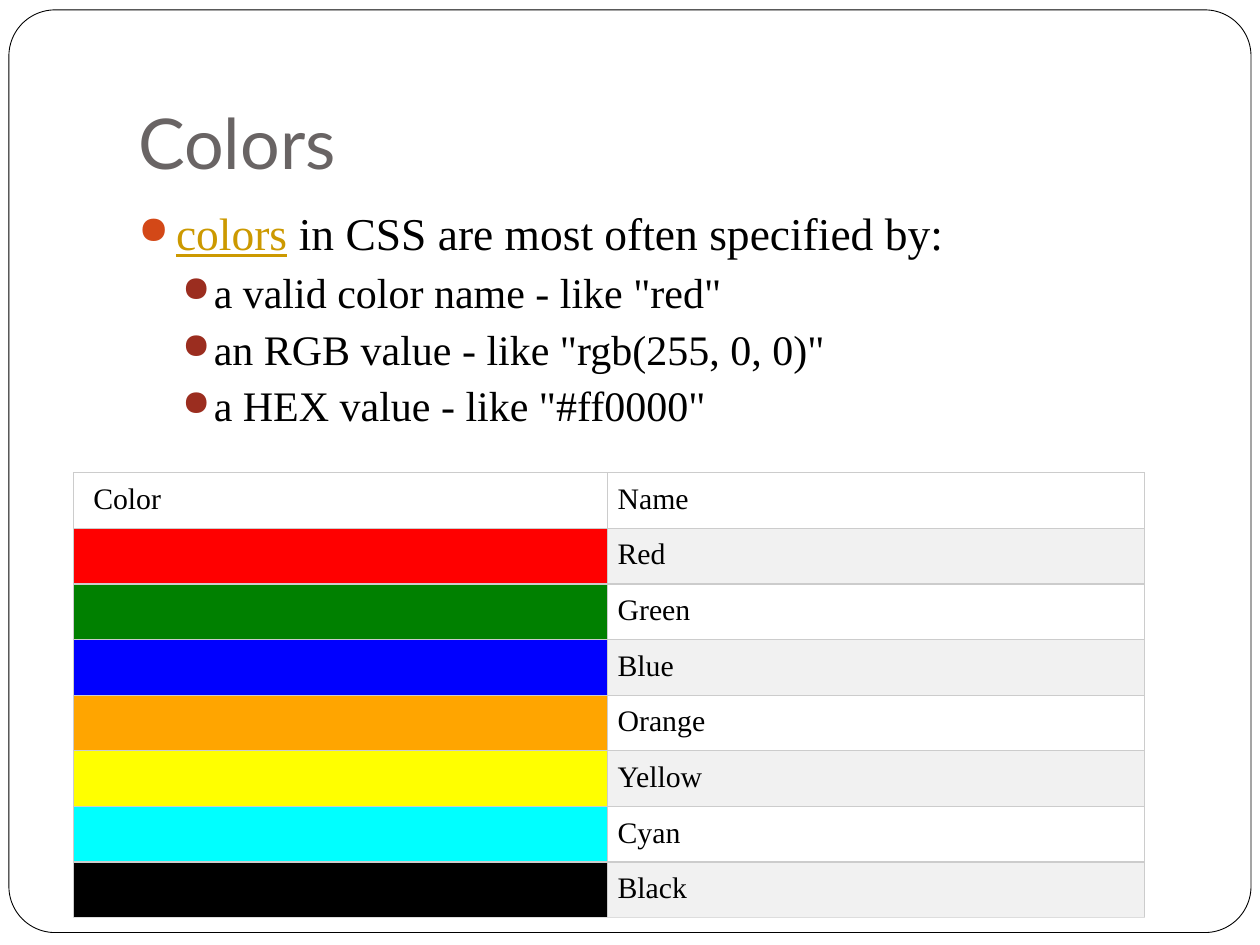
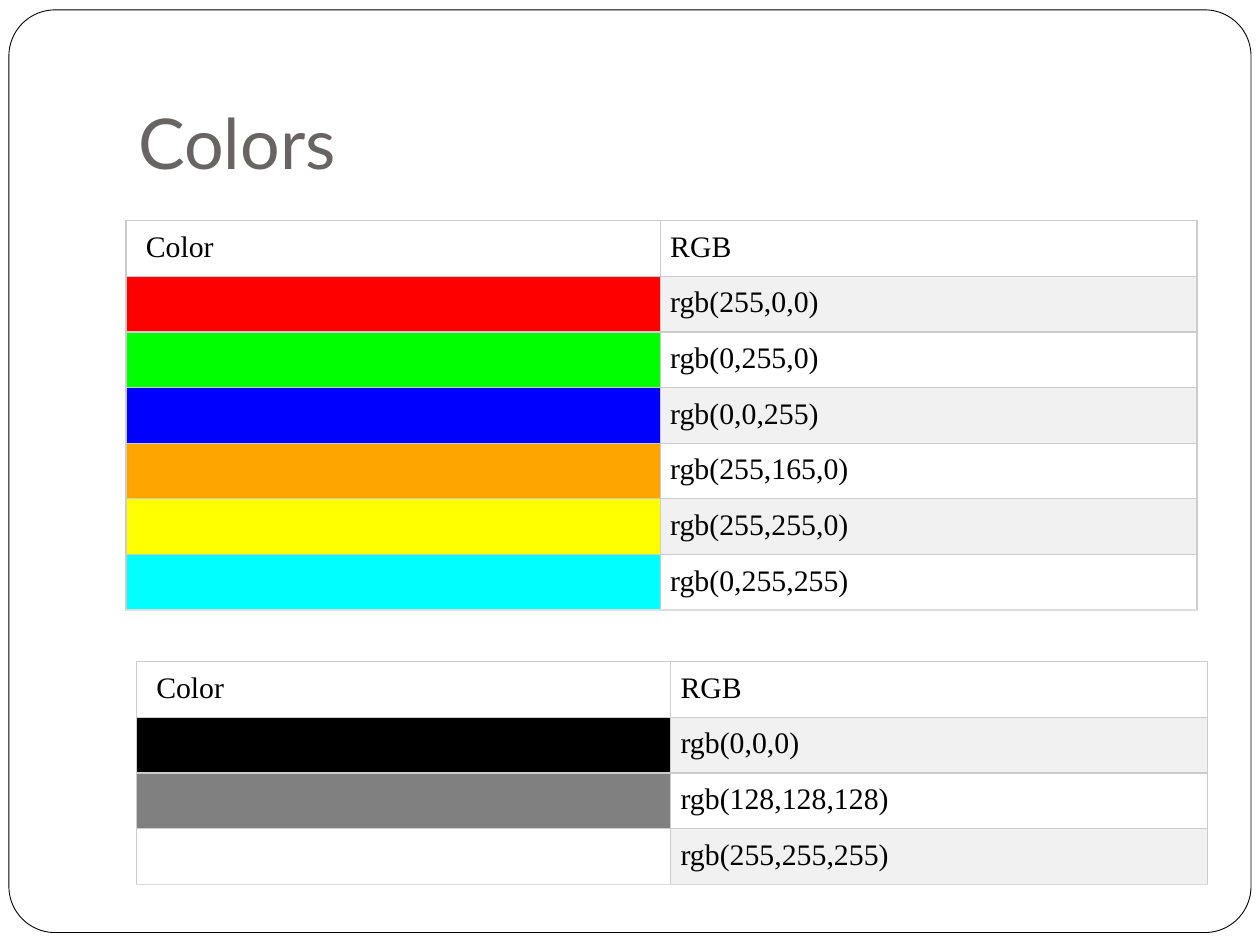
import pptx
import pptx.util
import pptx.dml.color
import pptx.enum.shapes
import pptx.enum.text
import pptx.oxml
import pptx.oxml.ns
import lxml.etree

Cm = pptx.util.Cm
Pt = pptx.util.Pt

COLORS = {
    "white": "FFFFFF", "black": "000000", "title": "696464", "link": "CC9900",
    "bullet": "D34817", "sub_bullet": "9B2D1F",
    "grid": "CCCCCC", "grid_end": "DDDDDD", "band": "F1F1F1",
    "red": "FF0000", "green": "008000", "lime": "00FF00", "blue": "0000FF",
    "orange": "FFA500", "yellow": "FFFF00", "cyan": "00FFFF", "gray": "808080",
}
TITLE_FONT = "Lato"
BODY_FONT = "Times New Roman"

FRAME_BOX = (0.18, 0.2, 25.04, 18.6)
TITLE_BOX = (2.54, 0.76, 21.59, 3.18)
BODY_BOX = (2.54, 4.01, 21.59, 12.7)
TABLE_WIDTH = 21.59
SWATCH_WIDTH = 10.77

SUB_BULLETS = [
    'a valid color name - like "red"',
    'an RGB value - like "rgb(255, 0, 0)"',
    'a HEX value - like "#ff0000"',
]
NAMED_COLORS = [
    ("red", "Red"), ("green", "Green"), ("blue", "Blue"), ("orange", "Orange"),
    ("yellow", "Yellow"), ("cyan", "Cyan"), ("black", "Black"),
]
RGB_COLORS = ["red", "lime", "blue", "orange", "yellow", "cyan"]
RGB_GRAYS = ["black", "gray", "white"]


def rgb(name):
    return pptx.dml.color.RGBColor.from_string(COLORS[name])


def rgb_row(name):
    return name, "rgb({},{},{})".format(*rgb(name))


def set_font(font, name, size, color):
    font.name = name
    font.size = Pt(size)
    font.color.rgb = rgb(color)


def add_child(parent, tag, **attrs):
    child = lxml.etree.SubElement(parent, pptx.oxml.ns.qn(tag))
    for key, value in attrs.items():
        child.set(key, str(value))
    return child


def add_frame(s, box):
    kind = pptx.enum.shapes.MSO_SHAPE.ROUNDED_RECTANGLE
    sp = s.shapes.add_shape(kind, *map(Cm, box))
    sp.adjustments[0] = 0.05
    sp.shadow.inherit = False
    sp.fill.solid()
    sp.fill.fore_color.rgb = rgb("white")
    sp.line.color.rgb = rgb("black")
    sp.line.width = Pt(0.5)


def add_text_frame(s, box):
    tf = s.shapes.add_textbox(*map(Cm, box)).text_frame
    tf.word_wrap = True
    return tf


def add_title(s, box, text):
    tf = add_text_frame(s, box)
    tf.vertical_anchor = pptx.enum.text.MSO_ANCHOR.BOTTOM
    tf.margin_bottom = Cm(0.25)
    p = tf.paragraphs[0]
    p.text = text
    set_font(p.font, TITLE_FONT, 40, "title")


def format_bullet(p, level, indent, hanging, space, size, color):
    p.level = level
    pPr = p._p.get_or_add_pPr()
    pPr.set("marL", str(Cm(indent)))
    pPr.set("indent", str(-Cm(hanging)))
    add_child(add_child(pPr, "a:buClr"), "a:srgbClr", val=COLORS[color])
    add_child(pPr, "a:buSzPct", val=85000)
    add_child(pPr, "a:buChar", char="●")
    p.space_before = Pt(space)
    set_font(p.font, BODY_FONT, size, "black")


def add_body(s, box):
    tf = add_text_frame(s, box)
    p = tf.paragraphs[0]
    format_bullet(p, 0, 0.76, 0.76, 5.8, 26, "bullet")
    r = p.add_run()
    r.text = "colors"
    r.font.underline = True
    r.font.color.rgb = rgb("link")
    p.add_run().text = " in CSS are most often specified by:"
    for text in SUB_BULLETS:
        p = tf.add_paragraph()
        p.text = text
        format_bullet(p, 1, 1.52, 0.64, 3.7, 24, "sub_bullet")


def format_cell(cell, fill, bottom):
    tcPr = cell._tc.get_or_add_tcPr()
    edges = {"a:lnL": "grid", "a:lnR": "grid", "a:lnT": "grid", "a:lnB": bottom}
    for tag, color in edges.items():
        ln = add_child(tcPr, tag, w=Pt(0.75))
        add_child(add_child(ln, "a:solidFill"), "a:srgbClr", val=COLORS[color])
    cell.fill.solid()
    cell.fill.fore_color.rgb = rgb(fill)


def write_cell(cell, text, left=0.2):
    cell.margin_left = Cm(left)
    cell.margin_right = cell.margin_top = cell.margin_bottom = Cm(0.2)
    p = cell.text_frame.paragraphs[0]
    p.text = text
    set_font(p.font, BODY_FONT, 17, "black")


def add_color_table(s, box, heading, colors):
    rows = [("white", heading)] + colors
    tbl = s.shapes.add_table(len(rows), 2, *map(Cm, box)).table
    tbl.first_row = tbl.horz_banding = False
    tbl.columns[0].width = Cm(SWATCH_WIDTH)
    tbl.columns[1].width = Cm(box[2] - SWATCH_WIDTH)
    for i, (color, label) in enumerate(rows):
        bottom = "grid_end" if i == len(rows) - 1 else "grid"
        format_cell(tbl.cell(i, 0), color, bottom)
        format_cell(tbl.cell(i, 1), "band" if i % 2 else "white", bottom)
        write_cell(tbl.cell(i, 1), label)
    write_cell(tbl.cell(0, 0), "Color", left=0.4)


def add_base_slide(prs):
    s = prs.slides.add_slide(prs.slide_layouts[6])
    add_frame(s, FRAME_BOX)
    add_title(s, TITLE_BOX, "Colors")
    return s


def add_names_slide(prs):
    s = add_base_slide(prs)
    add_body(s, BODY_BOX)
    add_color_table(s, (1.48, 9.53, TABLE_WIDTH, 8.83), "Name", NAMED_COLORS)


def add_rgb_slide(prs):
    s = add_base_slide(prs)
    add_color_table(s, (2.54, 4.45, TABLE_WIDTH, 7.73), "RGB",
                    [rgb_row(name) for name in RGB_COLORS])
    add_color_table(s, (2.75, 13.34, TABLE_WIDTH, 4.42), "RGB",
                    [rgb_row(name) for name in RGB_GRAYS])


def main():
    prs = pptx.Presentation()
    prs.slide_width = Cm(25.4)
    prs.slide_height = Cm(19.05)
    add_names_slide(prs)
    add_rgb_slide(prs)
    prs.save("out.pptx")


if __name__ == "__main__":
    main()
